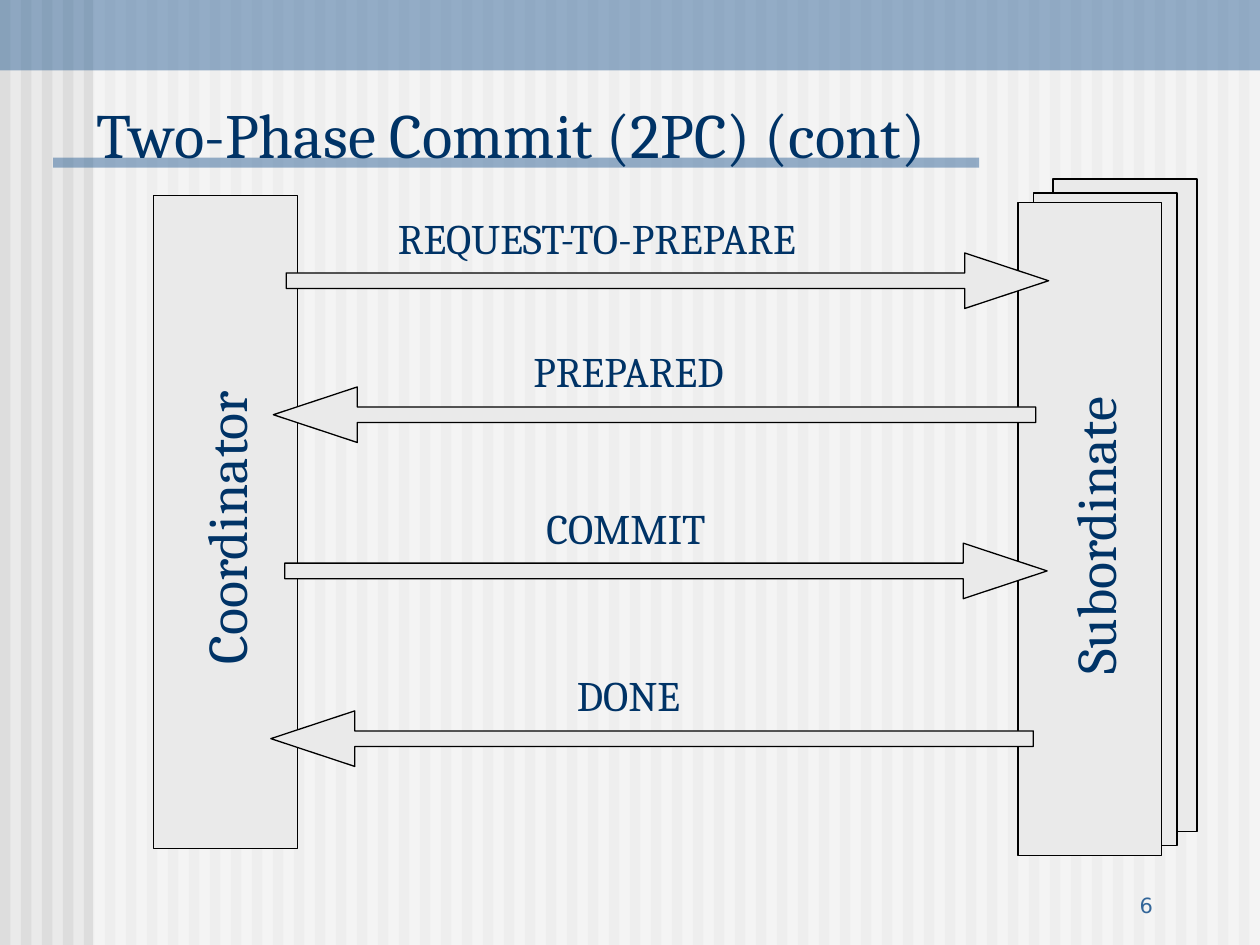
from pptx import Presentation
from pptx.dml.color import RGBColor
from pptx.enum.shapes import MSO_SHAPE
from pptx.enum.text import MSO_ANCHOR, PP_ALIGN
from pptx.oxml.ns import qn
from pptx.util import Cm, Pt
from lxml import etree

RECT, ARROW = MSO_SHAPE.RECTANGLE, MSO_SHAPE.RIGHT_ARROW
TOP, BOTTOM = MSO_ANCHOR.TOP, MSO_ANCHOR.BOTTOM
LEFT, CENTER, RIGHT = PP_ALIGN.LEFT, PP_ALIGN.CENTER, PP_ALIGN.RIGHT
WIDE, HIGH = 25.4, 19.05
COLORS = {
    "paper": "EAEAEA",
    "stripe": "DDDDDD",
    "veil": "FFFFFF",
    "blue": "336699",
    "navy": "003366",
    "black": "000000",
}


class Deck:
    """Holds the style and the current slide, and draws each kind of element."""

    def __init__(self):
        self.prs = Presentation()
        self.prs.slide_width, self.prs.slide_height = Cm(WIDE), Cm(HIGH)
        self.font = "Cambria"
        self.slide = self.prs.slides.add_slide(self.prs.slide_layouts[6])
        self.paint(self.slide.background.fill, "paper")

    def paint(self, fill, color):
        fill.solid()
        fill.fore_color.rgb = RGBColor.from_string(COLORS[color])

    def shape(self, kind, x, y, w, h, color):
        item = self.slide.shapes.add_shape(kind, Cm(x), Cm(y), Cm(w), Cm(h))
        item.shadow.inherit = False
        self.paint(item.fill, color)
        item.line.fill.background()
        return item

    def band(self, x, y, w, h, color):
        item = self.shape(RECT, x, y, w, h, color)
        tint = item.fill._xPr.find(qn("a:solidFill"))[0]
        etree.SubElement(tint, qn("a:alpha"), val="50000")

    def outline(self, item):
        self.paint(item.line.fill, "black")
        item.line.width = Pt(0.75)

    def box(self, x, y):
        self.outline(self.shape(RECT, x, y, 2.9, 13.16, "paper"))

    def arrow(self, x, y, turn):
        item = self.shape(ARROW, x, y, 15.37, 1.12, "paper")
        item.adjustments[0], item.adjustments[1] = 0.28, 1.51
        item.rotation = turn
        self.outline(item)

    def text(self, words, x, y, w, h, size, align=LEFT, anchor=TOP,
             color="navy", font=None, turn=0):
        item = self.slide.shapes.add_textbox(Cm(x), Cm(y), Cm(w), Cm(h))
        item.rotation = turn
        frame = item.text_frame
        frame.text = words
        frame.word_wrap = turn == 0
        frame.vertical_anchor = anchor
        line = frame.paragraphs[0]
        line.alignment = align
        style = line.runs[0].font
        style.name, style.size = font or self.font, Pt(size)
        style.color.rgb = RGBColor.from_string(COLORS[color])

    def save(self):
        self.prs.save("out.pptx")


def main():
    deck = Deck()
    for i in range(60):
        deck.shape(RECT, i * WIDE / 60, 0, 0.21, HIGH, "stripe")
    deck.band(1.88, 0, WIDE - 1.88, HIGH, "veil")
    deck.band(0, 0, WIDE, 1.42, "blue")
    deck.band(1.07, 3.18, 18.67, 0.2, "blue")
    deck.text("6", 18.21, 17.35, 5.28, 1.27, 12, RIGHT, BOTTOM,
              "blue", "DejaVu Sans")
    deck.text("Two-Phase Commit (2PC) (cont)", 1.7, 1.47, 23.06, 2.11, 36,
              anchor=BOTTOM)

    for x, y in [(3.1, 3.94), (21.23, 3.61), (20.83, 3.89), (20.52, 4.09)]:
        deck.box(x, y)
    for role, x, y in [("Coordinator", 1.22, 9.52), ("Subordinate", 18.72, 9.73)]:
        deck.text(role, x, y, 6.65, 1.6, 32, turn=270)

    steps = [
        ("REQUEST-TO-PREPARE", 7.77, LEFT, 5.77, 5.1, 0),
        ("PREPARED", 6.93, CENTER, 5.51, 7.8, 180),
        ("COMMIT", 6.88, CENTER, 5.74, 10.95, 0),
        ("DONE", 6.93, CENTER, 5.46, 14.33, 180),
    ]
    for words, left, align, x, y, turn in steps:
        deck.arrow(x, y, turn)
        deck.text(words, left, y - 0.95, 11.48, 1.27, 24, align)
    deck.save()


if __name__ == "__main__":
    main()
